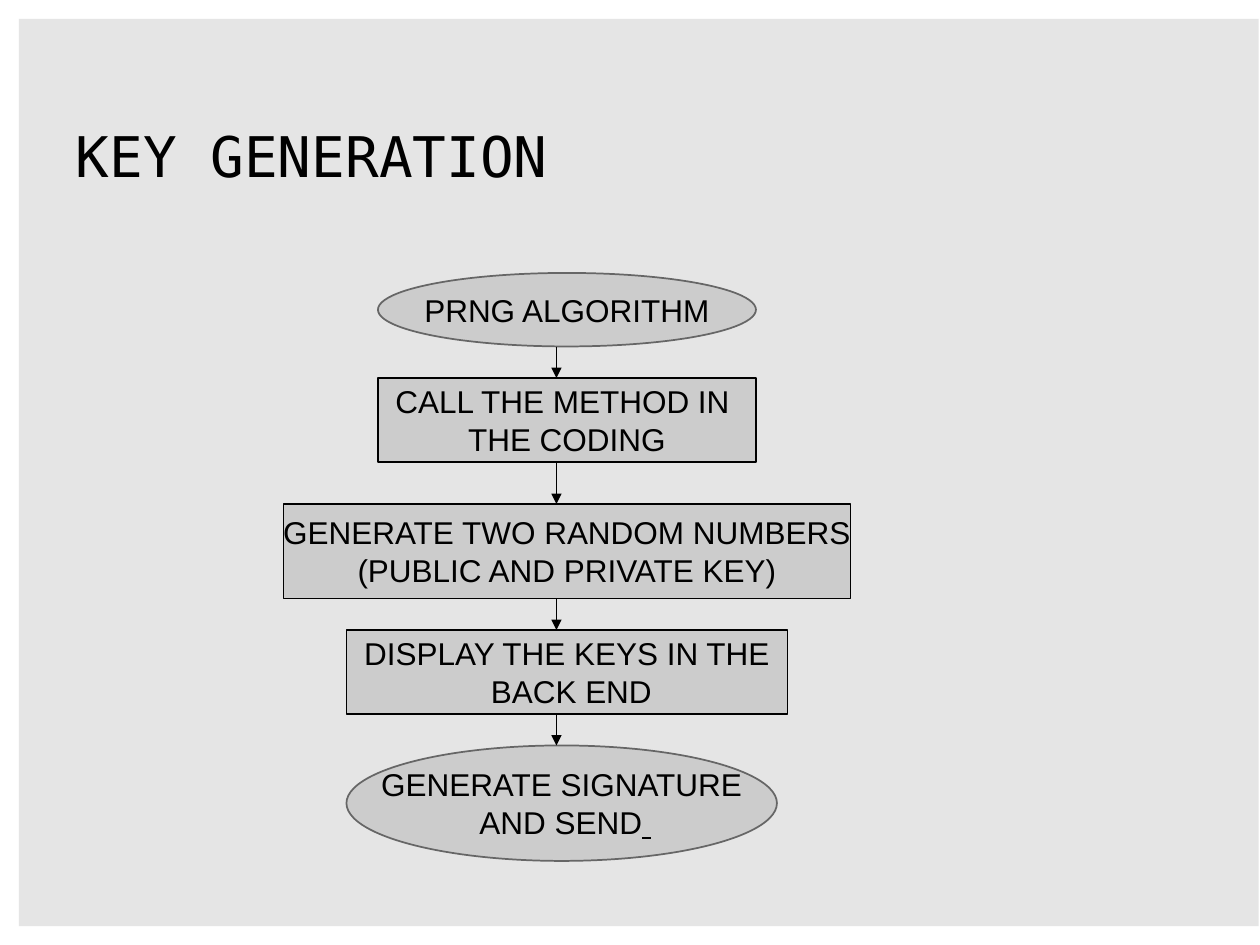
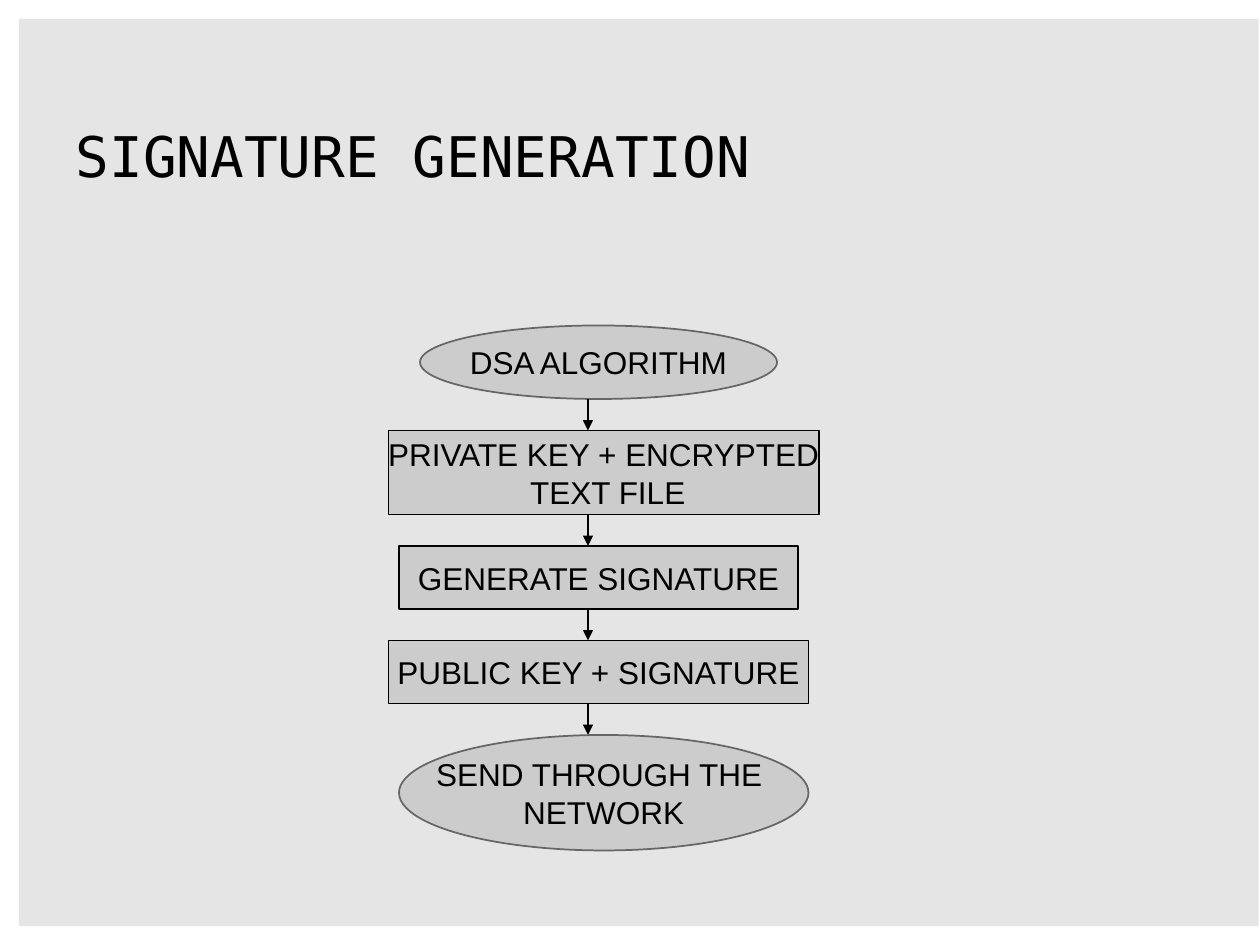
import pptx
import pptx.dml.color
import pptx.enum.shapes
import pptx.enum.text
import pptx.oxml.ns
import pptx.util
from lxml import etree

Pt = pptx.util.Pt
RGBColor = pptx.dml.color.RGBColor
Shape = pptx.enum.shapes.MSO_SHAPE
Anchor = pptx.enum.text.MSO_ANCHOR
Align = pptx.enum.text.PP_ALIGN
qn = pptx.oxml.ns.qn

BLACK = RGBColor(0x00, 0x00, 0x00)
DARK_GREY = RGBColor(0x66, 0x66, 0x66)
LIGHT_GREY = RGBColor(0xCC, 0xCC, 0xCC)

TITLE_FONT = "DejaVu Sans Mono"
STEP_FONT = "Arial"
LINE_WIDTH = 1
GAP = 18


def write_text(box, lines, size, font, align, anchor, wrap=True):
    """Fill box with one paragraph per line; a line is a list of (text, underlined)."""
    frame = box.text_frame
    frame.word_wrap = wrap
    frame.auto_size = pptx.enum.text.MSO_AUTO_SIZE.NONE
    frame.vertical_anchor = anchor
    for index, spans in enumerate(lines):
        para = frame.paragraphs[0] if index == 0 else frame.add_paragraph()
        para.alignment = align
        for text, underlined in spans:
            span = para.add_run()
            span.text = text
            span.font.size = Pt(size)
            span.font.name = font
            span.font.color.rgb = BLACK
            if underlined:
                span.font.underline = True


def plain(*texts):
    return [[(text, False)] for text in texts]


def add_panel(page):
    """Half-transparent grey panel behind everything else."""
    panel = page.shapes.add_shape(Shape.RECTANGLE, Pt(10.8), Pt(10.8), Pt(708.4), Pt(518.4))
    panel.shadow.inherit = False
    panel.fill.solid()
    panel.fill.fore_color.rgb = LIGHT_GREY
    panel.line.fill.background()
    colour = panel.element.spPr.find(qn("a:solidFill"))[0]
    etree.SubElement(colour, qn("a:alpha"), val="50000")
    panel.element.getparent().insert(2, panel.element)


def add_page(deck, title):
    page = deck.slides.add_slide(deck.slide_layouts[5])
    add_panel(page)
    box = page.shapes.title
    box.left, box.top, box.width, box.height = Pt(36), Pt(21.6), Pt(648), Pt(90)
    write_text(box, plain(title), size=32, font=TITLE_FONT,
               align=Align.LEFT, anchor=Anchor.BOTTOM)
    return page


def add_step(page, kind, left, top, width, height, lines):
    step = page.shapes.add_shape(kind, Pt(left), Pt(top), Pt(width), Pt(height))
    step.shadow.inherit = False
    step.fill.solid()
    step.fill.fore_color.rgb = LIGHT_GREY
    step.line.color.rgb = DARK_GREY if kind == Shape.OVAL else BLACK
    step.line.width = Pt(LINE_WIDTH)
    write_text(step, lines, size=18, font=STEP_FONT,
               align=Align.CENTER, anchor=Anchor.MIDDLE, wrap=False)


def add_down_arrow(page, x, top, bottom):
    arrow = page.shapes.add_connector(
        pptx.enum.shapes.MSO_CONNECTOR.STRAIGHT, Pt(x), Pt(top), Pt(x), Pt(bottom))
    arrow.line.color.rgb = BLACK
    arrow.line.width = Pt(LINE_WIDTH)
    properties = arrow.element.spPr
    etree.SubElement(properties.find(qn("a:ln")), qn("a:tailEnd"), type="triangle")
    etree.SubElement(properties, qn("a:effectLst"))


def add_flow(page, top, arrow_x, steps):
    """Stack steps (kind, left, width, height, gap above, lines) joined by arrows."""
    bottom = None
    for kind, left, width, height, gap, lines in steps:
        if bottom is not None:
            top = bottom + gap
        add_step(page, kind, left, top, width, height, lines)
        if bottom is not None:
            add_down_arrow(page, arrow_x, bottom, top)
        bottom = top + height


def main():
    deck = pptx.Presentation()
    deck.slide_width, deck.slide_height = Pt(720), Pt(540)

    key_page = add_page(deck, "KEY GENERATION")
    add_flow(key_page, top=156, arrow_x=318, steps=[
        (Shape.OVAL, 216, 216, 42, 0, plain("PRNG ALGORITHM")),
        (Shape.RECTANGLE, 216, 216, 48, GAP, plain("CALL THE METHOD IN ", "THE CODING")),
        (Shape.RECTANGLE, 162, 324, 54, 24,
         plain("GENERATE TWO RANDOM NUMBERS", "(PUBLIC AND PRIVATE KEY)")),
        (Shape.RECTANGLE, 198, 252, 48, GAP, plain("DISPLAY THE KEYS IN THE", " BACK END")),
        (Shape.OVAL, 198, 246, 66, GAP,
         [[("GENERATE SIGNATURE", False)], [(" AND SEND", False), (" ", True)]]),
    ])

    signature_page = add_page(deck, "SIGNATURE GENERATION")
    add_flow(signature_page, top=186, arrow_x=336, steps=[
        (Shape.OVAL, 240, 204, 42, 0, plain("DSA ALGORITHM")),
        (Shape.RECTANGLE, 222, 246, 48, GAP, plain("PRIVATE KEY + ENCRYPTED", " TEXT FILE")),
        (Shape.RECTANGLE, 228, 228, 36, GAP, plain("GENERATE SIGNATURE")),
        (Shape.RECTANGLE, 222, 240, 36, GAP, plain("PUBLIC KEY + SIGNATURE")),
        (Shape.OVAL, 228, 234, 66, GAP, plain("SEND THROUGH THE ", "NETWORK")),
    ])

    deck.save("out.pptx")


if __name__ == "__main__":
    main()
